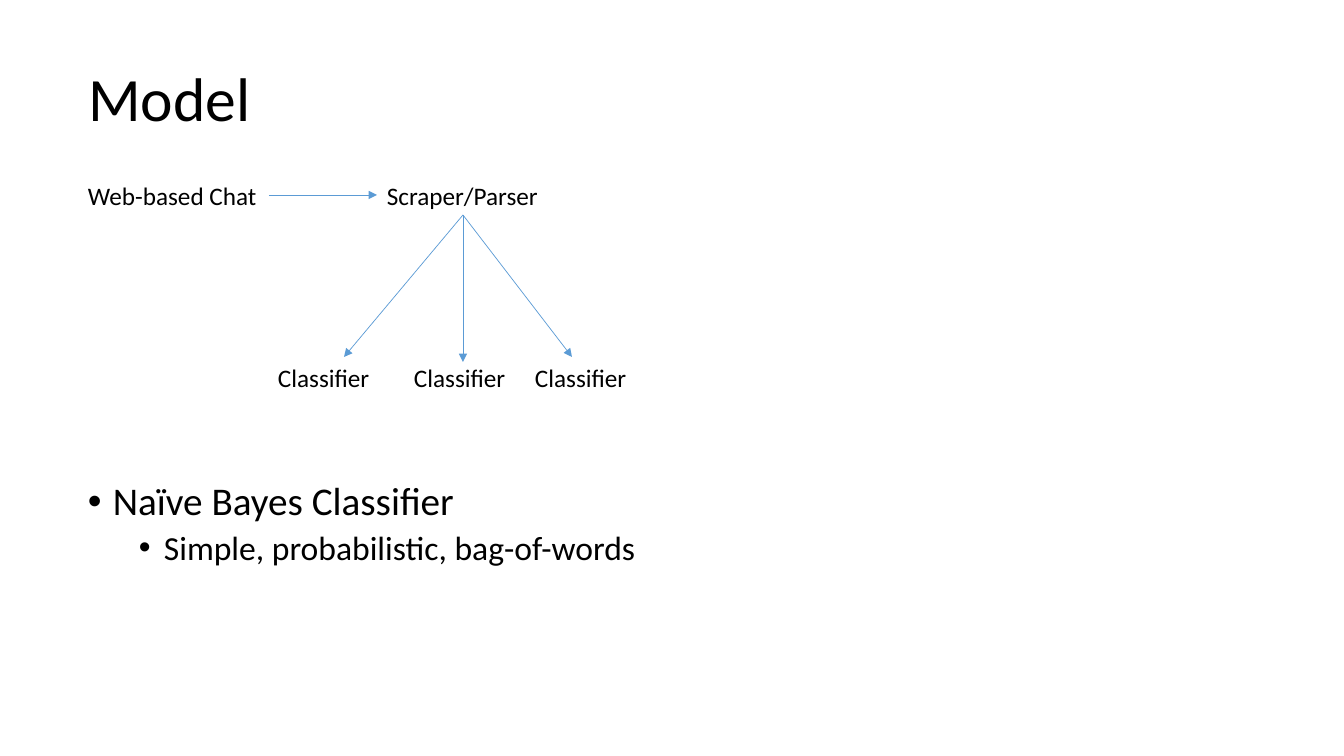
from lxml import etree
from pptx import Presentation, util as u
from pptx.dml.color import RGBColor
from pptx.enum import shapes, text
from pptx.oxml.ns import qn

# Content: lengths in px, sizes in points
SCALE = 914400 / 100.8
FONT, INK, BLUE = "Calibri", "000000", "5B9BD5"
TITLE = ("Model", (78, 29, 1159, 146))
LABELS = {
    "chat": ("Web-based Chat", (78, 175, 191, 40), True),
    "parser": ("Scraper/Parser", (377, 175, 172, 40), False),
}
LEAVES = ("Classifier", (268, 404, 525), 357, (113, 40))
TIPS = [(344, 357), (463, 362), (572, 357)]
BODY = (78, 477, 1159, 122)
# words, size, space before, left margin, hanging indent
POINTS = [
    ("Naïve Bayes Classifier", 28, 10, 25, 25),
    ("Simple, probabilistic, bag-of-words", 24, 5, 76, 25),
]


def px(n):
    return u.Emu(round(n * SCALE))


def paint(hue):
    return RGBColor.from_string(hue)


def style(thing, **vals):
    for key, val in vals.items():
        setattr(thing, key, val)


def write(para, words, size, **vals):
    run = para.add_run()
    run.text = words
    style(run.font, name=FONT, size=u.Pt(size))
    run.font.color.rgb = paint(INK)
    style(para, alignment=text.PP_ALIGN.LEFT, **vals)


def label(words, box, wrap):
    item = slide.shapes.add_textbox(*map(px, box))
    style(item.text_frame, word_wrap=wrap,
          auto_size=text.MSO_AUTO_SIZE.SHAPE_TO_FIT_TEXT)
    write(item.text_frame.paragraphs[0], words, 18)
    return item


def arrow(start, side, tip):
    line = slide.shapes.add_connector(
        shapes.MSO_CONNECTOR.STRAIGHT, 0, 0, *map(px, tip))
    line.begin_connect(start, side)
    line.line.color.rgb = paint(BLUE)
    line.line.width = u.Pt(0.5)
    etree.SubElement(line.line._get_or_add_ln(), qn("a:tailEnd"), type="triangle")
    etree.SubElement(line._element.spPr, qn("a:effectLst"))
    return line


deck = Presentation()
style(deck, slide_width=px(1344), slide_height=px(756))
slide = deck.slides.add_slide(deck.slide_layouts[5])

# Title
words, box = TITLE
title = slide.shapes.title
style(title, **dict(zip(("left", "top", "width", "height"), map(px, box))))
style(title.text_frame, vertical_anchor=text.MSO_ANCHOR.MIDDLE,
      auto_size=text.MSO_AUTO_SIZE.NONE, word_wrap=True)
write(title.text_frame.paragraphs[0], words, 44, line_spacing=0.9)

# Flow labels
nodes = {key: label(*spec) for key, spec in LABELS.items()}
words, lefts, top, size = LEAVES
for left in lefts:
    label(words, (left, top, *size), False)

# Arrows
feed = arrow(nodes["chat"], 3, (377, 195))
feed.end_connect(nodes["parser"], 1)
for tip in TIPS:
    arrow(nodes["parser"], 2, tip)

# Bullet list
frame = slide.shapes.add_textbox(*map(px, BODY)).text_frame
frame.word_wrap = True
for i, (words, size, gap, left, hang) in enumerate(POINTS):
    para = frame.add_paragraph() if i else frame.paragraphs[0]
    write(para, words, size, level=i, line_spacing=0.9, space_before=u.Pt(gap))
    props = para._p.get_or_add_pPr()
    props.set("marL", str(px(left)))
    props.set("indent", str(-px(hang)))
    etree.SubElement(props, qn("a:buFont"), typeface="Arial")
    etree.SubElement(props, qn("a:buChar"), char="•")

deck.save("out.pptx")
